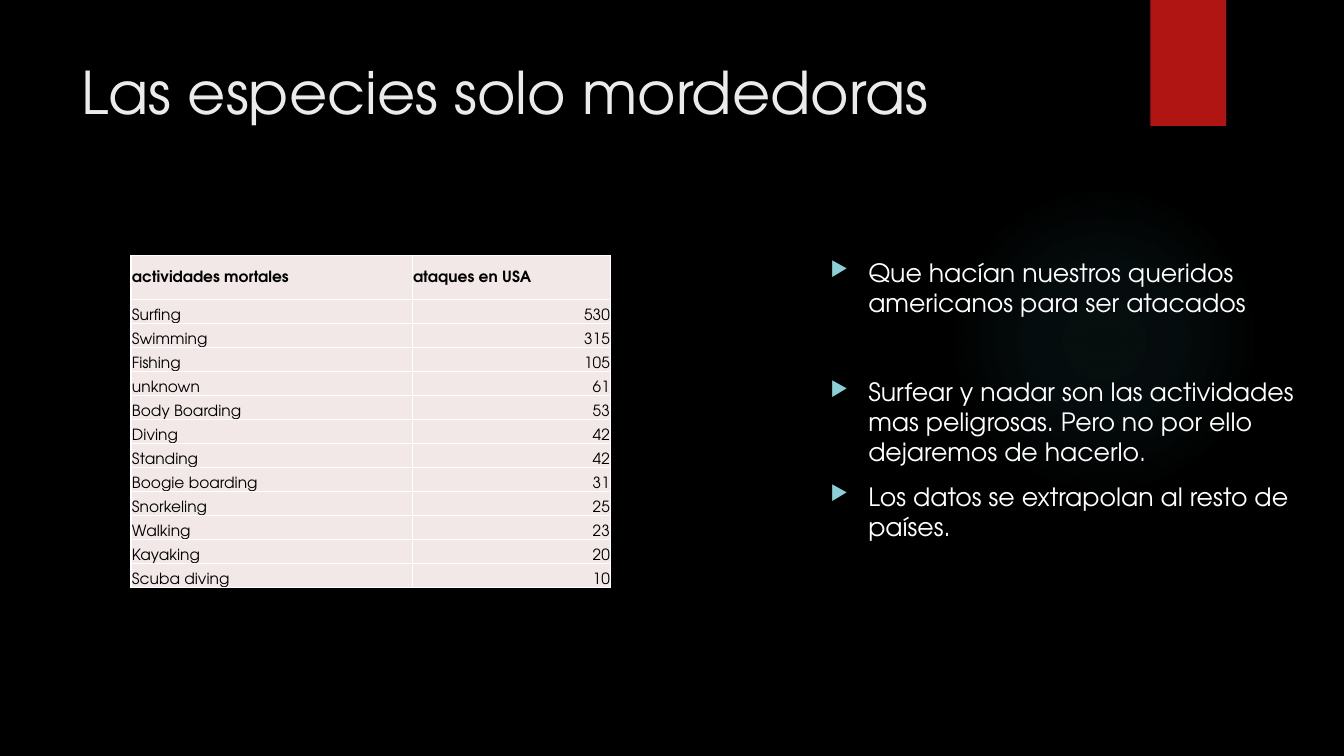
"""Build the slide about the activities with most attacks."""
from lxml import etree
from pptx import Presentation
from pptx.dml.color import RGBColor
from pptx.enum.shapes import MSO_SHAPE
from pptx.enum.text import MSO_ANCHOR, PP_ALIGN
from pptx.oxml import parse_xml
from pptx.oxml.ns import nsdecls, qn
from pptx.util import Pt

RECTANGLE, OVAL = MSO_SHAPE.RECTANGLE, MSO_SHAPE.OVAL
TOP, MIDDLE, BOTTOM = MSO_ANCHOR.TOP, MSO_ANCHOR.MIDDLE, MSO_ANCHOR.BOTTOM
LEFT, RIGHT = PP_ALIGN.LEFT, PP_ALIGN.RIGHT
FONT = "TeX Gyre Adventor"

TITLE = "Las especies solo mordedoras"
BULLETS = [
    ("Que hacían nuestros queridos americanos para ser atacados", 10),
    ("Surfear y nadar son las actividades mas peligrosas. "
     "Pero no por ello dejaremos de hacerlo.", 42),
    ("Los datos se extrapolan al resto de países.", 10),
]
ROWS = [
    ("actividades mortales", "ataques en USA"),
    ("Surfing", 530),
    ("Swimming", 315),
    ("Fishing", 105),
    ("unknown", 61),
    ("Body Boarding", 53),
    ("Diving", 42),
    ("Standing", 42),
    ("Boogie boarding", 31),
    ("Snorkeling", 25),
    ("Walking", 23),
    ("Kayaking", 20),
    ("Scuba diving", 10),
]
COLUMN_WIDTHS = (200.9, 141.8)
HEADER_HEIGHT, ROW_HEIGHT = 31.2, 17.2
GLOW_STOPS = [(0, 7), (36, 6), (69, 0), (100, 0)]


def paint(target, color):
    """Give a fill one solid colour."""
    target.solid()
    target.fore_color.rgb = RGBColor.from_string(color)


def style(para, size, color, bold=False):
    """Format every run of a paragraph."""
    for span in para.runs:
        span.font.name, span.font.size, span.font.bold = FONT, Pt(size), bold
        span.font.color.rgb = RGBColor.from_string(color)


def add_shape(page, kind, left, top, width, height, color):
    """Add a plain shape without outline."""
    shape = page.shapes.add_shape(kind, Pt(left), Pt(top), Pt(width), Pt(height))
    shape.shadow.inherit = False
    shape.line.fill.background()
    paint(shape.fill, color)
    return shape


def add_box(page, left, top, width, height):
    """Add a wrapping text box and return its frame."""
    frame = page.shapes.add_textbox(Pt(left), Pt(top), Pt(width), Pt(height)).text_frame
    frame.word_wrap = True
    frame.vertical_anchor = TOP
    return frame


def add_glow(page):
    """Add the faint round light behind the bullets."""
    glow = add_shape(page, OVAL, 677.5, 131.8, 221.8, 221.8, "50B9C1")
    stops = "".join(
        f'<a:gs pos="{place * 1000}"><a:srgbClr val="50B9C1">'
        f'<a:alpha val="{alpha * 1000}"/></a:srgbClr></a:gs>'
        for place, alpha in GLOW_STOPS)
    gradient = parse_xml(
        f'<a:gradFill {nsdecls("a")}><a:gsLst>{stops}</a:gsLst><a:path path="circle">'
        '<a:fillToRect l="50000" t="50000" r="50000" b="50000"/></a:path></a:gradFill>')
    properties = glow.element.spPr
    properties.replace(properties.find(qn("a:solidFill")), gradient)


def add_bullet(para):
    """Set the hanging indent and the triangle mark."""
    properties = para._p.get_or_add_pPr()
    properties.set("marL", str(Pt(27)))
    properties.set("indent", str(Pt(-27)))
    color = etree.SubElement(properties, qn("a:buClr"))
    etree.SubElement(color, qn("a:srgbClr"), val="8AD0D6")
    etree.SubElement(properties, qn("a:buSzPct"), val="80000")
    etree.SubElement(properties, qn("a:buChar"), char="▶")


def add_borders(cell):
    """Draw thin white lines around a cell."""
    properties = cell._tc.get_or_add_tcPr()
    for index, side in enumerate(("lnL", "lnR", "lnT", "lnB")):
        properties.insert(index, parse_xml(
            f'<a:{side} {nsdecls("a")} w="{Pt(1)}"><a:solidFill>'
            f'<a:srgbClr val="FFFFFF"/></a:solidFill></a:{side}>'))


def add_activities(page):
    """Add the table of activities and attacks."""
    height = HEADER_HEIGHT + ROW_HEIGHT * (len(ROWS) - 1)
    table = page.shapes.add_table(len(ROWS), len(COLUMN_WIDTHS), Pt(93.6), Pt(182.6),
                                  Pt(sum(COLUMN_WIDTHS)), Pt(height)).table
    table.first_row = table.horz_banding = False
    for column, width in zip(table.columns, COLUMN_WIDTHS):
        column.width = Pt(width)
    for i, values in enumerate(ROWS):
        header = i == 0
        table.rows[i].height = Pt(HEADER_HEIGHT if header else ROW_HEIGHT)
        for j, value in enumerate(values):
            cell = table.cell(i, j)
            cell.text = str(value)
            cell.margin_left = cell.margin_right = cell.margin_top = Pt(0.7)
            cell.margin_bottom = 0
            cell.vertical_anchor = MIDDLE if header else BOTTOM
            para = cell.text_frame.paragraphs[0]
            para.alignment = RIGHT if isinstance(value, int) else LEFT
            style(para, 11, "000000", header)
            paint(cell.fill, "F2E8E7")
            add_borders(cell)


def main():
    """Build and save the deck."""
    deck = Presentation()
    deck.slide_width, deck.slide_height = Pt(960), Pt(540)
    page = deck.slides.add_slide(deck.slide_layouts[6])
    paint(page.background.fill, "000000")
    add_glow(page)
    add_shape(page, RECTANGLE, 821.8, 0, 54, 90, "B01513")

    title = add_box(page, 51.1, 36, 740.9, 110.2)
    title.text = TITLE
    style(title.paragraphs[0], 42, "EBEBEB")

    body = add_box(page, 586.1, 180, 346.3, 294.5)
    body.text = "\n".join(text for text, _ in BULLETS)
    for para, (_, gap) in zip(body.paragraphs, BULLETS):
        para.space_before = Pt(gap)
        add_bullet(para)
        style(para, 18, "FFFFFF")

    add_activities(page)
    deck.save("out.pptx")


if __name__ == "__main__":
    main()
